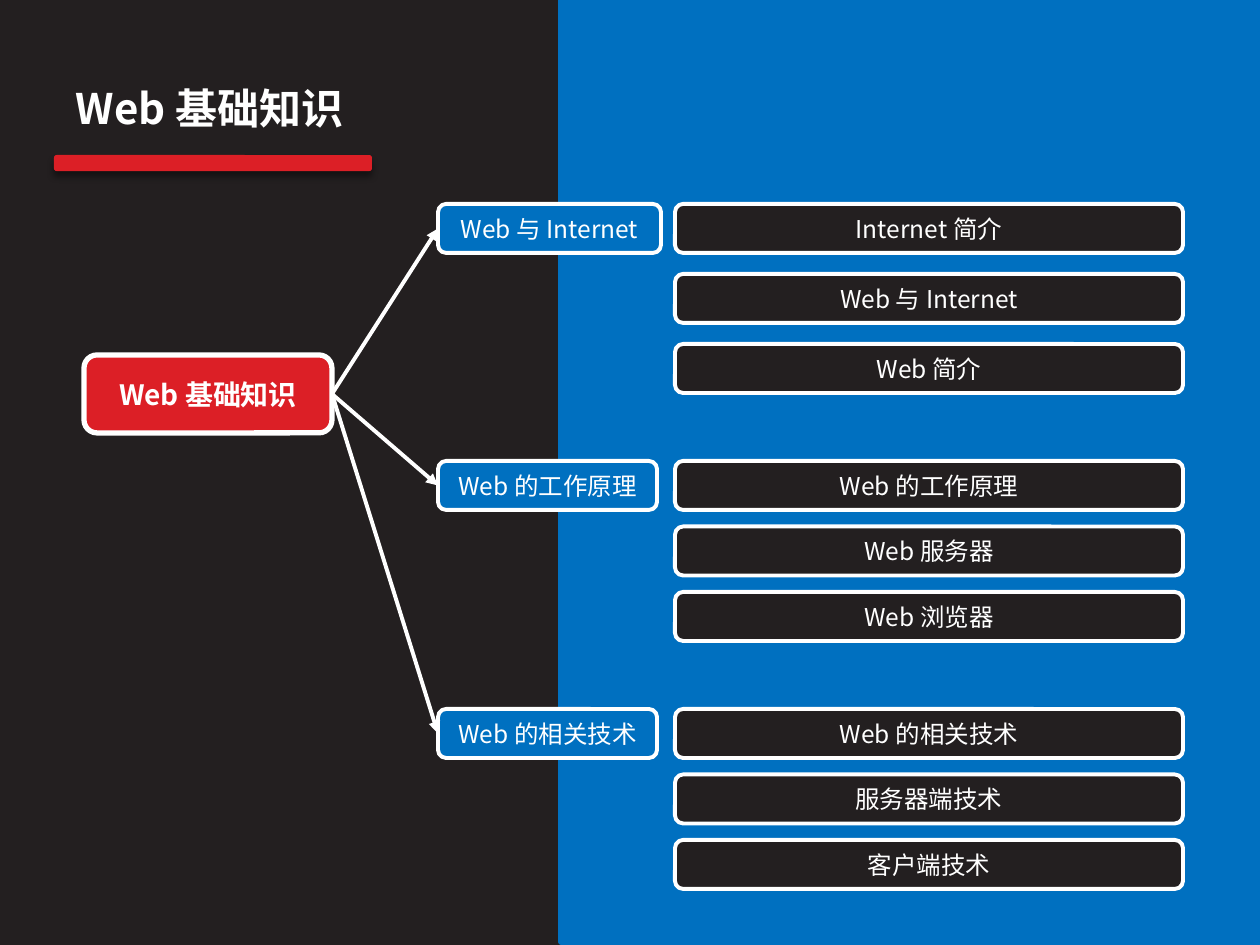
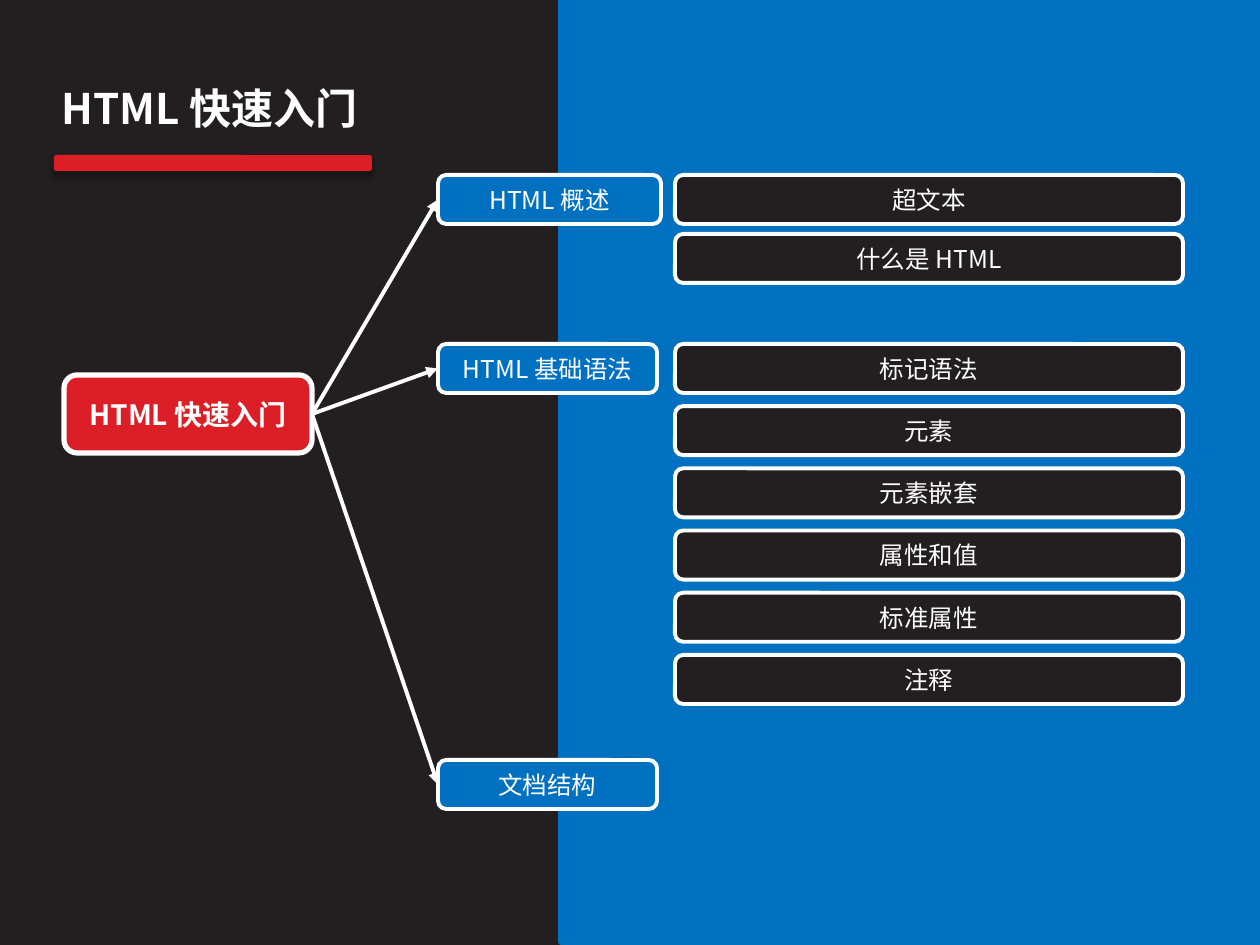
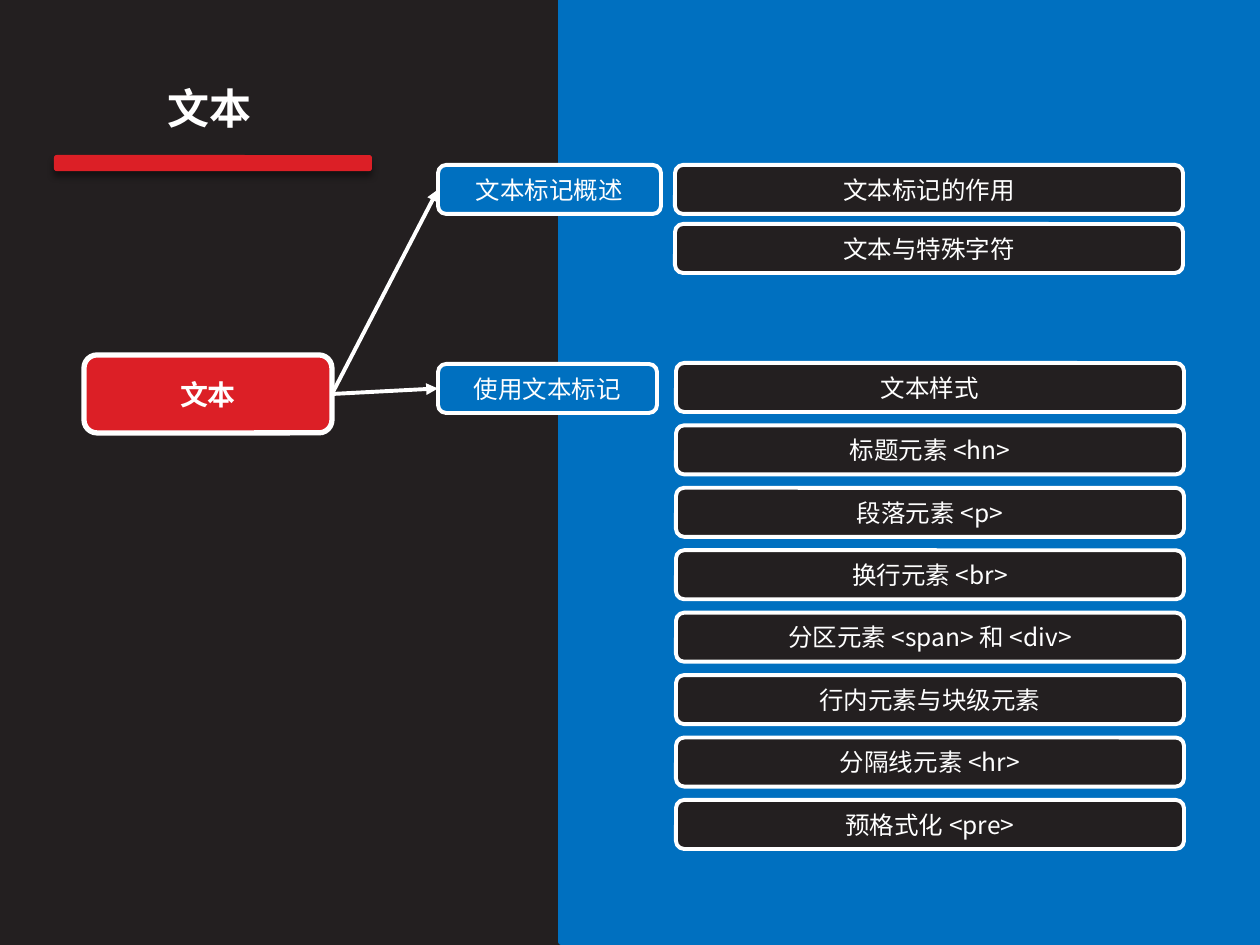
from lxml import etree
from pptx import Presentation
from pptx.dml.color import RGBColor
from pptx.enum.shapes import MSO_CONNECTOR, MSO_SHAPE
from pptx.enum.text import MSO_ANCHOR, PP_ALIGN
from pptx.oxml.ns import qn
from pptx.util import Pt

PX = 914400 / 126
WIDE, HIGH = 1260, 945
FONT = "Noto Sans CJK SC"

DARK = RGBColor(0x23, 0x1F, 0x20)
BLUE = RGBColor(0x00, 0x70, 0xC0)
RED = RGBColor(0xDC, 0x1F, 0x26)
WHITE = RGBColor(0xFF, 0xFF, 0xFF)

RECT, ROUND = MSO_SHAPE.RECTANGLE, MSO_SHAPE.ROUNDED_RECTANGLE
STRAIGHT = MSO_CONNECTOR.STRAIGHT
CENTER, MIDDLE, TOP = PP_ALIGN.CENTER, MSO_ANCHOR.MIDDLE, MSO_ANCHOR.TOP
LEFT_SITE, RIGHT_SITE = 1, 3

PANEL = (561, 0, 699, 942)
TITLE = (35, 76, 349, 89)
HUB_W, HUB_H = 248, 78
ROW_H = 49
TOPIC_X = 438
ITEM_X, ITEM_W = 675, 508

# Each branch: topic, topic box (top, width), item span (left, first top, last top), items
SLIDES = [
    ("Web 基础知识", (84, 355), [
        ("Web 与 Internet", (204, 223), (ITEM_X, 204, 344),
         ["Internet 简介", "Web 与 Internet", "Web 简介"]),
        ("Web 的工作原理", (461, 219), (ITEM_X, 461, 592),
         ["Web 的工作原理", "Web 服务器", "Web 浏览器"]),
        ("Web 的相关技术", (709, 219), (ITEM_X, 709, 840),
         ["Web 的相关技术", "服务器端技术", "客户端技术"]),
    ]),
    ("HTML 快速入门", (64, 375), [
        ("HTML 概述", (175, 223), (ITEM_X, 175, 234),
         ["超文本", "什么是 HTML"]),
        ("HTML 基础语法", (344, 219), (ITEM_X, 344, 655),
         ["标记语法", "元素", "元素嵌套", "属性和值", "标准属性", "注释"]),
        ("文档结构", (760, 219), (ITEM_X, 760, 760), []),
    ]),
    ("文本", (84, 355), [
        ("文本标记概述", (165, 223), (ITEM_X, 165, 224),
         ["文本标记的作用", "文本与特殊字符"]),
        ("使用文本标记", (364, 219), (ITEM_X + 1, 363, 800),
         ["文本样式", "标题元素 <hn>", "段落元素 <p>", "换行元素 <br>",
          "分区元素 <span> 和 <div>", "行内元素与块级元素",
          "分隔线元素 <hr>", "预格式化 <pre>"]),
    ]),
]


def emu(*sizes):
    return [round(size * PX) for size in sizes]


def write(shape, text, size, bold=False, anchor=MIDDLE):
    frame = shape.text_frame
    frame.word_wrap = True
    frame.vertical_anchor = anchor
    frame.text = text
    para = frame.paragraphs[0]
    para.alignment = CENTER
    font = para.runs[0].font
    font.name, font.size, font.bold = FONT, Pt(size), bold
    font.color.rgb = WHITE
    east = etree.SubElement(para.runs[0]._r.get_or_add_rPr(), qn("a:ea"))
    east.set("typeface", FONT)


def add_box(shapes, kind, box, fill, line=None, width=0):
    shape = shapes.add_shape(kind, *emu(*box))
    shape.shadow.inherit = False
    shape.fill.solid()
    shape.fill.fore_color.rgb = fill
    if line is None:
        shape.line.fill.background()
    else:
        shape.line.color.rgb = line
        shape.line.width = Pt(width)
    return shape


def add_node(slide, box, text, fill, size=14, width=2.25, bold=False):
    node = add_box(slide.shapes, ROUND, box, fill, WHITE, width)
    write(node, text, size, bold)
    return node


def add_shade(shape):
    """Give the shape a soft shadow straight below it."""
    effects = shape._element.spPr.find(qn("a:effectLst"))
    outer = etree.SubElement(effects, qn("a:outerShdw"), blurRad=str(Pt(4)),
                             dist=str(Pt(3)), dir="5400000", rotWithShape="0")
    color = etree.SubElement(outer, qn("a:srgbClr"), val="000000")
    etree.SubElement(color, qn("a:alpha"), val="43000")


def add_arrow(slide, start, end):
    arrow = slide.shapes.add_connector(STRAIGHT, 0, 0, 0, 0)
    arrow.begin_connect(start, RIGHT_SITE)
    arrow.end_connect(end, LEFT_SITE)
    arrow.line.color.rgb = WHITE
    arrow.line.width = Pt(2.25)
    etree.SubElement(arrow.line._get_or_add_ln(), qn("a:tailEnd"), type="triangle")
    etree.SubElement(arrow._element.spPr, qn("a:effectLst"))


def add_title(slide, box, text):
    """Group the heading with the red bar under it."""
    x, y, w, h = box
    shapes = slide.shapes.add_group_shape().shapes
    write(shapes.add_textbox(*emu(x, y, w, h)), text, 24, True, TOP)
    add_shade(add_box(shapes, ROUND, (x + 19, y + 79, w - 31, 16), RED))


def add_items(slide, span, items):
    """Space the items evenly from the first top to the last."""
    x, first, last = span
    step = (last - first) / max(len(items) - 1, 1)
    for i, item in enumerate(items):
        add_node(slide, (x, first + i * step, ITEM_W, ROW_H), item, DARK)


def add_map(deck, title, spot, branches):
    slide = deck.slides.add_slide(deck.slide_layouts[6])
    slide.background.fill.solid()
    slide.background.fill.fore_color.rgb = DARK
    add_box(slide.shapes, RECT, PANEL, BLUE, BLUE, 3)
    add_title(slide, TITLE, title)
    hub = add_node(slide, (*spot, HUB_W, HUB_H), title, RED, 16, 3, True)
    for topic, (top, width), span, items in branches:
        node = add_node(slide, (TOPIC_X, top, width, ROW_H), topic, BLUE)
        add_arrow(slide, hub, node)
        add_items(slide, span, items)


def main():
    deck = Presentation()
    deck.slide_width, deck.slide_height = emu(WIDE, HIGH)
    for title, spot, branches in SLIDES:
        add_map(deck, title, spot, branches)
    deck.save("out.pptx")


if __name__ == "__main__":
    main()
